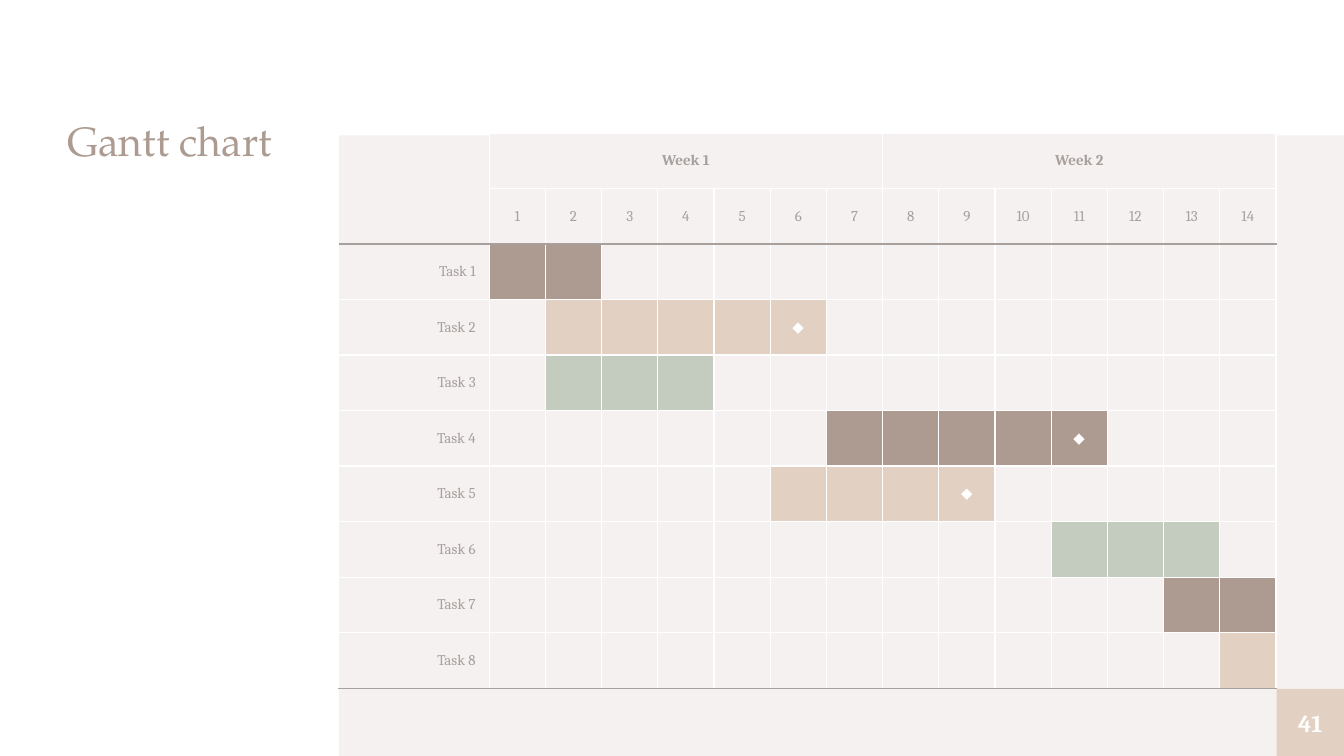
import pptx
import pptx.dml.color
import pptx.enum.shapes
import pptx.enum.text
import pptx.oxml
import pptx.oxml.ns
import pptx.util

Pt = pptx.util.Pt
Align = pptx.enum.text.PP_ALIGN
Anchor = pptx.enum.text.MSO_ANCHOR
RECTANGLE = pptx.enum.shapes.MSO_SHAPE.RECTANGLE

THEME = {
    "panel": "F5F1F0", "brown": "AD9B91", "beige": "E2D1C2", "sage": "C4CBBF",
    "gray": "A8A09D", "white": "FFFFFF",
    "title": {"name": "TeX Gyre Pagella", "size": Pt(22), "bold": False},
    "number": {"name": "Cambria", "size": Pt(13), "bold": True},
    "heading": {"name": "Cambria", "size": Pt(8), "bold": True},
    "label": {"name": "Cambria", "size": Pt(8), "bold": False},
}
NO_INSETS = {"margin_left": 0, "margin_top": 0, "margin_right": 0, "margin_bottom": 0}


def write(frame, text, style, color, alignment):
    """Put one formatted line of text in a text frame."""
    para = frame.paragraphs[0]
    para.alignment = alignment
    span = para.add_run()
    span.text = text
    for name, value in THEME[style].items():
        setattr(span.font, name, value)
    span.font.color.rgb = pptx.dml.color.RGBColor.from_string(THEME[color])


def set_border(cell, side, color):
    """Add one cell border; no color means no line."""
    paint = f'<a:solidFill><a:srgbClr val="{THEME[color]}"/></a:solidFill>' if color else "<a:noFill/>"
    cell._tc.get_or_add_tcPr().append(pptx.oxml.parse_xml(
        f'<a:ln{side} {pptx.oxml.ns.nsdecls("a")} w="{Pt(0.75)}">{paint}</a:ln{side}>'))


deck = pptx.Presentation()
deck.slide_width, deck.slide_height = Pt(720), Pt(405)
page = deck.slides.add_slide(deck.slide_layouts[5])

# Title
title = page.shapes.title
title.left, title.top, title.width, title.height = Pt(36), Pt(64.8), Pt(128.4), Pt(304.2)
title_format = {**NO_INSETS, "vertical_anchor": Anchor.TOP, "word_wrap": True,
                "auto_size": pptx.enum.text.MSO_AUTO_SIZE.NONE}
for name, value in title_format.items():
    setattr(title.text_frame, name, value)
write(title.text_frame, "Gantt chart", "title", "brown", Align.LEFT)
title.text_frame.paragraphs[0].line_spacing = 0.9

# Background panel and page number box
boxes = []
for left, top, width, height, color in [
    (181.5, 72.5, 538.5, 332.5, "panel"),
    (684, 369, 36, 36, "beige"),
]:
    box = page.shapes.add_shape(RECTANGLE, Pt(left), Pt(top), Pt(width), Pt(height))
    box.shadow.inherit = False
    box.fill.solid()
    box.fill.fore_color.rgb = pptx.dml.color.RGBColor.from_string(THEME[color])
    box.line.fill.background()
    boxes.append(box)
number_frame = boxes[-1].text_frame
for name, value in {**NO_INSETS, "vertical_anchor": Anchor.MIDDLE}.items():
    setattr(number_frame, name, value)
write(number_frame, "41", "number", "white", Align.CENTER)

# Schedule: first day, last day, milestone day
tasks = [
    (1, 2, None), (2, 6, 6), (2, 4, None), (7, 11, 11),
    (6, 9, 9), (11, 13, None), (13, 14, None), (14, 14, None),
]
bar_colors = ["brown", "beige", "sage"]
days, days_per_week, header_rows = 14, 7, 2
row_count = header_rows + len(tasks)

# Table grid
label_width, day_width, row_height = 80.6, 30.13, 29.75
table = page.shapes.add_table(
    row_count, days + 1, Pt(181.5), Pt(71.3),
    Pt(label_width + days * day_width), Pt(row_count * row_height)).table
table.first_row = table.horz_banding = False
for index, column in enumerate(table.columns):
    column.width = Pt(day_width if index else label_width)
for row in table.rows:
    row.height = Pt(row_height)

# Borders and fills of every cell
for row in range(row_count):
    for day in range(days + 1):
        cell = table.cell(row, day)
        cell.vertical_anchor = Anchor.MIDDLE
        corner = row < header_rows and day == 0
        edge = None if corner else "white"
        top = "gray" if row == header_rows else edge
        bottom = "gray" if row in (header_rows - 1, row_count - 1) else edge
        for side, color in {"L": edge, "R": "white", "T": top, "B": bottom}.items():
            set_border(cell, side, color)

        fill = None if corner else "panel"
        if row >= header_rows:
            task = row - header_rows
            first, last, milestone = tasks[task]
            if first <= day <= last:
                fill = bar_colors[task % len(bar_colors)]
        if fill:
            cell.fill.solid()
            cell.fill.fore_color.rgb = pptx.dml.color.RGBColor.from_string(THEME[fill])
        else:
            cell.fill.background()

# Week and day headings
for week in range(days // days_per_week):
    first = 1 + week * days_per_week
    cell = table.cell(0, first)
    cell.merge(table.cell(0, first + days_per_week - 1))
    write(cell.text_frame, f"Week {week + 1}", "heading", "gray", Align.CENTER)
for day in range(1, days + 1):
    write(table.cell(1, day).text_frame, str(day), "label", "gray", Align.CENTER)

# Task labels and milestones
for task, (first, last, milestone) in enumerate(tasks):
    row = header_rows + task
    write(table.cell(row, 0).text_frame, f"Task {task + 1}", "label", "gray", Align.RIGHT)
    if milestone:
        write(table.cell(row, milestone).text_frame, "◆", "label", "white", Align.CENTER)

deck.save("out.pptx")
